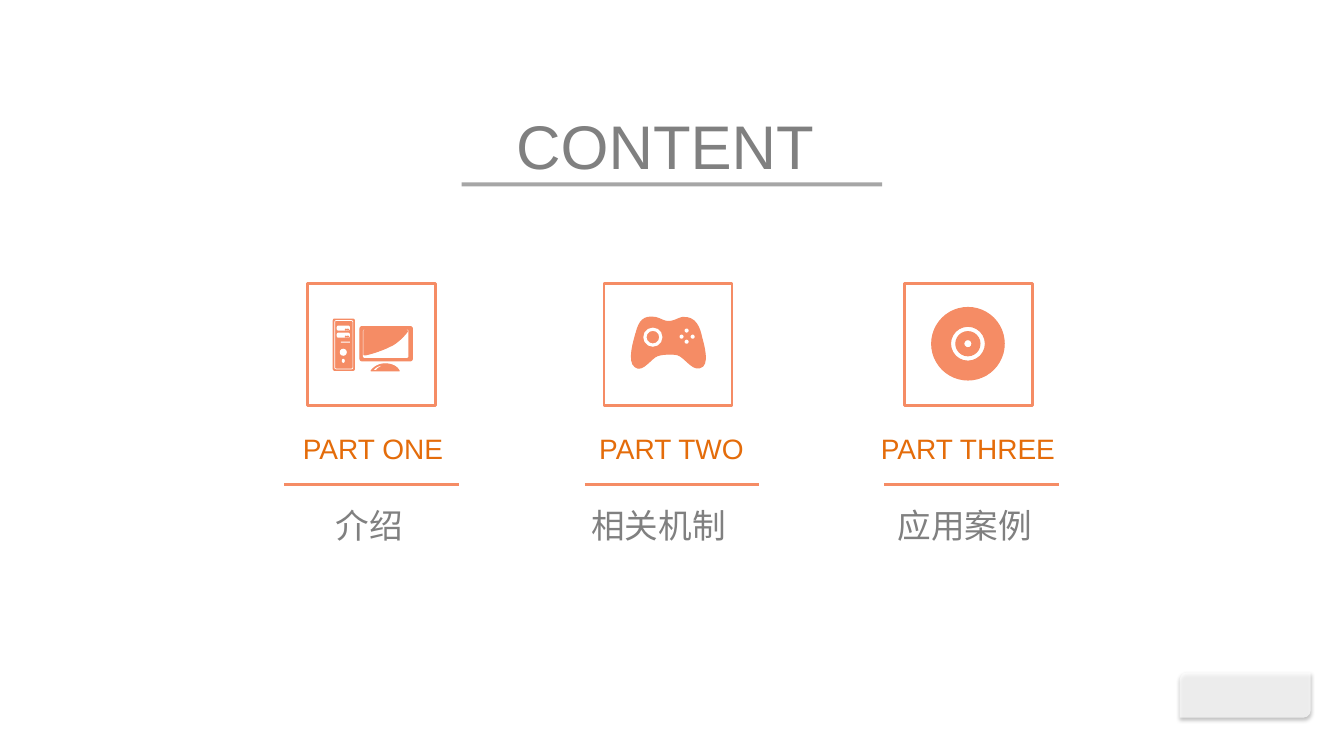
from lxml import etree
from pptx import Presentation
from pptx.dml.color import RGBColor as RGB
from pptx.enum.shapes import MSO_CONNECTOR as LINE, MSO_SHAPE as SHAPE
from pptx.enum.text import MSO_ANCHOR as ANCHOR, MSO_AUTO_SIZE as AUTO, PP_ALIGN as ALIGN
from pptx.oxml import parse_xml
from pptx.oxml.ns import qn
from pptx.util import Inches, Pt

COLORS = {"coral": "F58C65", "orange": "E46C0A", "gray": "808080",
          "rule": "A6A6A6", "white": "FFFFFF"}
FONT = "Arial"

prs = Presentation()
prs.slide_width, prs.slide_height = Inches(13.33), Inches(7.5)
s = prs.slides.add_slide(prs.slide_layouts[5])


def shape(kind, box, fill=None, line=None, width=0.75, adj=None):
    """Add a preset shape, or a closed curve when kind is a list.

    A curve lists its start point, then cubic pieces of three points each."""
    if isinstance(kind, list):
        points, steps = [kind[0]], 8
        for i in range(0, len(kind) - 1, 3):
            a, b, c, d = kind[i:i + 4]
            for t in (n / steps for n in range(1, steps + 1)):
                u = 1 - t
                points.append(tuple(u**3 * a[k] + 3 * u * u * t * b[k]
                                    + 3 * u * t * t * c[k] + t**3 * d[k] for k in (0, 1)))
        emu = [(Inches(x), Inches(y)) for x, y in points]
        fb = s.shapes.build_freeform(*emu[0])
        fb.add_line_segments(emu[1:], close=True)
        sp = fb.convert_to_shape()
    else:
        sp = s.shapes.add_shape(kind, *map(Inches, box))
        if adj is not None:
            sp.adjustments[0] = adj
    sp.shadow.inherit = False
    if fill:
        sp.fill.solid()
        sp.fill.fore_color.rgb = RGB.from_string(COLORS[fill])
    else:
        sp.fill.background()
    if line:
        sp.line.color.rgb = RGB.from_string(COLORS[line])
        sp.line.width = Pt(width)
    else:
        sp.line.fill.background()
    return sp


def write(sp, text, size, color, align):
    tf = sp.text_frame
    tf.word_wrap = True
    tf.auto_size = AUTO.NONE
    tf.vertical_anchor = ANCHOR.TOP
    p = tf.paragraphs[0]
    p.alignment = align
    r = p.add_run()
    r.text = text
    r.font.name, r.font.size = FONT, Pt(size)
    r.font.color.rgb = RGB.from_string(COLORS[color])


# Corner plate: translucent with a soft shadow
plate = shape(SHAPE.ROUND_2_DIAG_RECTANGLE, (11.7, 6.67, 1.3, 0.45), "white")
fill_color = plate.fill._xPr.find(qn("a:solidFill"))[0]
etree.SubElement(fill_color, qn("a:alpha"), val="70000")
effects = plate._element.spPr.find(qn("a:effectLst"))
effects.append(parse_xml(
    '<a:outerShdw xmlns:a="http://schemas.openxmlformats.org/drawingml/2006/main" '
    f'blurRad="{Pt(3.1)}" dist="{Pt(1.8)}" dir="5400000" algn="t" rotWithShape="0">'
    '<a:srgbClr val="000000"><a:alpha val="35000"/></a:srgbClr></a:outerShdw>'))

# Title and its rule
title = s.shapes.title
title.left, title.top, title.width, title.height = map(Inches, (5.02, 1.02, 3.31, 0.84))
write(title, "CONTENT", 44, "gray", ALIGN.LEFT)
shape(SHAPE.RECTANGLE, (4.58, 1.81, 4.17, 0.04), "rule")

# Three parts: frame, label, rule and caption, each with its left edge
parts = [("PART ONE", "介绍", 3.05, 2.45, 2.82, 2.22),
         ("PART TWO", "相关机制", 5.99, 5.41, 5.80, 5.09),
         ("PART THREE", "应用案例", 8.97, 8.35, 8.77, 8.13)]
for label, caption, frame_x, label_x, rule_x, caption_x in parts:
    shape(SHAPE.RECTANGLE, (frame_x, 2.81, 1.27, 1.21), line="coral", width=2)
    tb = s.shapes.add_textbox(*map(Inches, (label_x, 4.23, 2.5, 0.44)))
    write(tb, label, 20, "orange", ALIGN.CENTER)
    rule = s.shapes.add_connector(LINE.STRAIGHT, *map(Inches, (rule_x, 4.81, rule_x + 1.73, 4.81)))
    rule.line.color.rgb = RGB.from_string(COLORS["coral"])
    rule.line.width = Pt(2.25)
    etree.SubElement(rule._element.spPr, qn("a:effectLst"))
    tb = s.shapes.add_textbox(*map(Inches, (caption_x, 4.96, 2.88, 0.5)))
    write(tb, caption, 24, "gray", ALIGN.CENTER)

# Computer tower: case, inner edge, two drives, slit and buttons
shape(SHAPE.ROUNDED_RECTANGLE, (3.3, 3.16, 0.22, 0.52), "coral", adj=0.09)
shape(SHAPE.ROUNDED_RECTANGLE, (3.32, 3.18, 0.18, 0.48), line="white", width=0.5, adj=0.08)
for y in (3.23, 3.3):
    shape(SHAPE.ROUNDED_RECTANGLE, (3.34, y, 0.13, 0.05), "white", adj=0.3)
    for x in (3.42, 3.44):
        shape(SHAPE.OVAL, (x, y + 0.03, 0.02, 0.02), "coral")
shape(SHAPE.RECTANGLE, (3.38, 3.39, 0.09, 0.01), "white")
shape(SHAPE.OVAL, (3.37, 3.46, 0.07, 0.07), "white")
shape(SHAPE.OVAL, (3.39, 3.56, 0.03, 0.04), "white")

# Monitor: frame, screen, reflection, stand and its highlight
shape(SHAPE.ROUNDED_RECTANGLE, (3.57, 3.24, 0.52, 0.34), "coral", "coral", adj=0.06)
shape(SHAPE.ROUNDED_RECTANGLE, (3.6, 3.27, 0.45, 0.28), "white", adj=0.05)
shape([(3.86, 3.44), (3.76, 3.49), (3.61, 3.53), (3.61, 3.52),
       (3.61, 3.52), (3.61, 3.29), (3.61, 3.29), (3.61, 3.28), (3.61, 3.27), (3.63, 3.27),
       (3.63, 3.27), (4.02, 3.27), (4.02, 3.27), (4.04, 3.27), (4.04, 3.28), (4.04, 3.29),
       (4.04, 3.29), (3.96, 3.4), (3.86, 3.44)], None, "coral", "coral")
shape([(3.82, 3.61), (3.76, 3.61), (3.71, 3.64), (3.68, 3.68),
       (3.68, 3.68), (3.96, 3.68), (3.96, 3.68), (3.94, 3.64), (3.89, 3.61), (3.82, 3.61)],
      None, "coral", "coral")
shape([(3.71, 3.67), (3.71, 3.67), (3.73, 3.64), (3.78, 3.63),
       (3.74, 3.65), (3.73, 3.67), (3.73, 3.67)], None, "white")

# Game controller: body, stick ring and four buttons
shape([(6.96, 3.35), (6.94, 3.25), (6.9, 3.14), (6.77, 3.15),
       (6.72, 3.16), (6.69, 3.19), (6.63, 3.19), (6.58, 3.19), (6.55, 3.16), (6.5, 3.15),
       (6.38, 3.13), (6.34, 3.19), (6.31, 3.3), (6.29, 3.37), (6.22, 3.59), (6.3, 3.64),
       (6.37, 3.7), (6.46, 3.55), (6.52, 3.53), (6.57, 3.51), (6.68, 3.51), (6.72, 3.52),
       (6.79, 3.54), (6.86, 3.67), (6.94, 3.65), (7.04, 3.63), (6.98, 3.42), (6.96, 3.35)],
      None, "coral", "coral")
shape(SHAPE.DONUT, (6.38, 3.25, 0.19, 0.19), "white", adj=0.17)
for dx, dy in ((0, -0.06), (-0.05, 0), (0.06, 0), (0, 0.05)):
    shape(SHAPE.OVAL, (6.79 + dx, 3.32 + dy, 0.04, 0.04), "white")

# Disc: outer and inner rings
shape(SHAPE.DONUT, (9.24, 3.05, 0.72, 0.72), "coral", "coral", adj=0.26)
shape(SHAPE.DONUT, (9.48, 3.29, 0.24, 0.24), "coral", "coral", adj=0.33)

prs.save("out.pptx")
